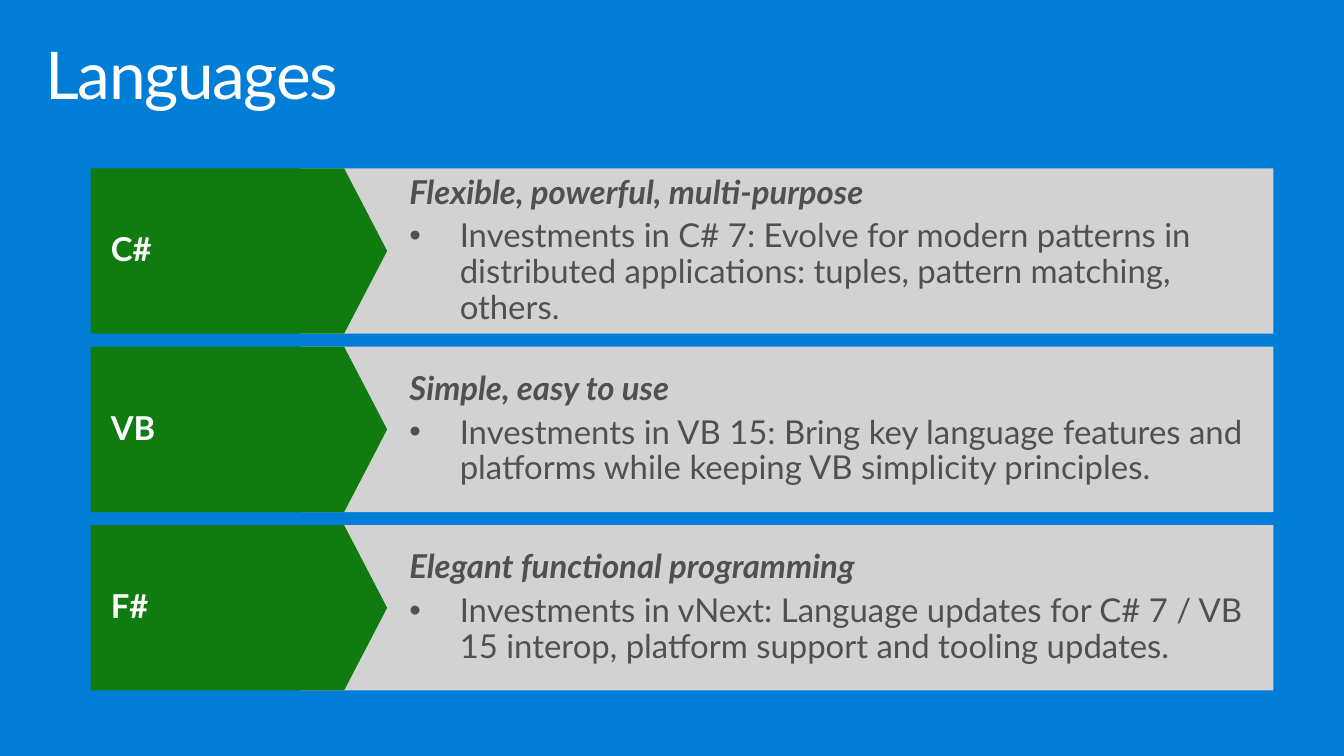
from dataclasses import dataclass

from lxml.etree import SubElement
from pptx import Presentation
from pptx.dml.color import RGBColor
from pptx.enum.shapes import MSO_SHAPE
from pptx.enum.text import MSO_ANCHOR, PP_ALIGN
from pptx.oxml.ns import qn
from pptx.util import Emu, Pt

EMU_PER_PX = 9144


@dataclass(frozen=True)
class Theme:
    font: str = "Lato"
    background: RGBColor = RGBColor(0x00, 0x7E, 0xD7)
    panel: RGBColor = RGBColor(0xD2, 0xD2, 0xD2)
    tag: RGBColor = RGBColor(0x10, 0x7C, 0x10)
    light: RGBColor = RGBColor(0xFF, 0xFF, 0xFF)
    dark: RGBColor = RGBColor(0x50, 0x50, 0x50)
    title_size: float = 47
    body_size: float = 23.5
    line_spacing: float = 0.9
    bullet_gap: float = 5.9


THEME = Theme()
ROW_TOP, ROW_HEIGHT, ROW_PITCH = 167, 164, 177

LANGUAGES = [
    ("C#", "Flexible, powerful, multi-purpose",
     "Investments in C# 7: Evolve for modern patterns in distributed "
     "applications: tuples, pattern matching, others."),
    ("VB", "Simple, easy to use",
     "Investments in VB 15: Bring key language features and platforms "
     "while keeping VB simplicity principles."),
    ("F#", "Elegant functional programming",
     "Investments in vNext: Language updates for C# 7 / VB 15 interop, "
     "platform support and tooling updates."),
]


def px(length):
    return Emu(length * EMU_PER_PX)


def set_frame(frame, anchor, left, top, right, bottom):
    frame.word_wrap = True
    frame.vertical_anchor = anchor
    frame.margin_left, frame.margin_top = px(left), px(top)
    frame.margin_right, frame.margin_bottom = px(right), px(bottom)


def set_indent(paragraph, left, hanging=0):
    properties = paragraph._p.get_or_add_pPr()
    properties.set("marL", str(px(left)))
    properties.set("indent", str(px(-hanging)))


def add_bullet(paragraph):
    properties = paragraph._p.get_or_add_pPr()
    SubElement(properties, qn("a:buFont"), typeface="Arial")
    SubElement(properties, qn("a:buChar"), char="•")


def write(paragraph, words, size, color, bold=False, italic=False):
    paragraph.alignment = PP_ALIGN.LEFT
    paragraph.line_spacing = THEME.line_spacing
    run = paragraph.add_run()
    run.text = words
    run.font.name = THEME.font
    run.font.size = Pt(size)
    run.font.bold = bold
    run.font.italic = italic
    run.font.color.rgb = color
    return run


def add_block(slide, preset, left, top, width, fill, left_inset):
    block = slide.shapes.add_shape(
        preset, px(left), px(top), px(width), px(ROW_HEIGHT))
    block.shadow.inherit = False
    block.fill.solid()
    block.fill.fore_color.rgb = fill
    block.line.fill.background()
    set_frame(block.text_frame, MSO_ANCHOR.MIDDLE, left_inset, 16, 20, 16)
    return block


def add_title(slide, words):
    title = slide.shapes.title
    title.left, title.top = px(29), px(32)
    title.width, title.height = px(1274), px(98)
    set_frame(title.text_frame, MSO_ANCHOR.TOP, 16, 10, 16, 10)
    run = write(title.text_frame.paragraphs[0], words,
                THEME.title_size, THEME.light)
    run._r.get_or_add_rPr().set("spc", "-100")


def add_panel(slide, top, tagline, investment):
    panel = add_block(slide, MSO_SHAPE.RECTANGLE, 298, top, 965,
                      THEME.panel, 98)
    heading = panel.text_frame.paragraphs[0]
    set_indent(heading, 10)
    write(heading, tagline, THEME.body_size, THEME.dark,
          bold=True, italic=True)
    detail = panel.text_frame.add_paragraph()
    set_indent(detail, 60, hanging=50)
    add_bullet(detail)
    detail.space_before = Pt(THEME.bullet_gap)
    write(detail, investment, THEME.body_size, THEME.dark)


def add_tag(slide, top, language):
    tag = add_block(slide, MSO_SHAPE.PENTAGON, 90, top, 294, THEME.tag, 20)
    tag.adjustments[0] = 0.26
    write(tag.text_frame.paragraphs[0], language, THEME.body_size,
          THEME.light, bold=True)


def main():
    deck = Presentation()
    deck.slide_width, deck.slide_height = px(1333), px(750)
    slide = deck.slides.add_slide(deck.slide_layouts[5])
    slide.background.fill.solid()
    slide.background.fill.fore_color.rgb = THEME.background
    add_title(slide, "Languages")
    for row, (language, tagline, investment) in enumerate(LANGUAGES):
        top = ROW_TOP + row * ROW_PITCH
        add_panel(slide, top, tagline, investment)
        add_tag(slide, top, language)
    deck.save("out.pptx")


if __name__ == "__main__":
    main()
